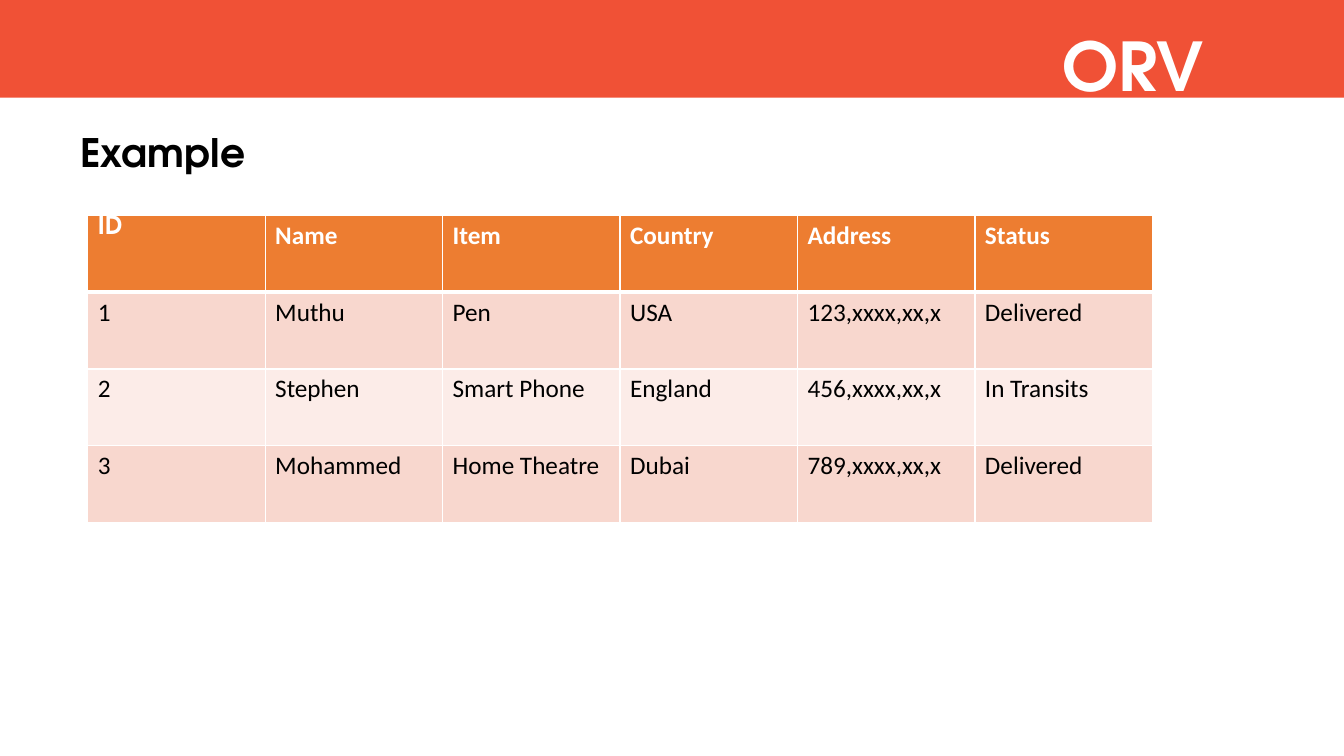
from lxml.etree import SubElement
from pptx import Presentation
from pptx.dml.color import RGBColor
from pptx.enum.shapes import MSO_SHAPE
from pptx.enum.text import MSO_ANCHOR, MSO_AUTO_SIZE, PP_ALIGN
from pptx.oxml.ns import qn
from pptx.util import Inches, Pt

TITLE = "ORV"
SUBTITLE = "Example"
ORDERS = [
    ("ID", "Name", "Item", "Country", "Address", "Status"),
    ("1", "Muthu", "Pen", "USA", "123,xxxx,xx,x", "Delivered"),
    ("2", "Stephen", "Smart Phone", "England", "456,xxxx,xx,x", "In Transits"),
    ("3", "Mohammed", "Home Theatre", "Dubai", "789,xxxx,xx,x", "Delivered"),
]
HEADING_FONT, TABLE_FONT = "TeX Gyre Adventor", "Calibri"
WHITE, BLACK, RED, ORANGE = "FFFFFF", "000000", "F05136", "ED7D31"
BANDS = ("FCECE8", "F8D7CE")
COL_W, ROW_H = 1.76, 0.76


def rgb(value):
    return RGBColor.from_string(value)


def style(p, name, size, color, bold):
    for r in p.runs:
        r.font.name = name
        r.font.size = Pt(size)
        r.font.bold = bold
        r.font.color.rgb = rgb(color)


def place_heading(sp, text, box, size, color):
    """Move a placeholder to box and fill it with one heading."""
    sp.left, sp.top, sp.width, sp.height = map(Inches, box)
    tf = sp.text_frame
    tf.text = text
    tf.word_wrap = True
    tf.auto_size = MSO_AUTO_SIZE.NONE
    tf.vertical_anchor = MSO_ANCHOR.TOP
    p = tf.paragraphs[0]
    p.space_before = Pt(0)
    style(p, HEADING_FONT, size, color, True)
    return p


def set_borders(cell, bottom, top):
    """Draw white cell borders, widths in points."""
    tcPr = cell._tc.get_or_add_tcPr()
    widths = {"a:lnL": 1, "a:lnR": 1, "a:lnT": top, "a:lnB": bottom}
    for tag, width in widths.items():
        ln = SubElement(tcPr, qn(tag), w=str(Pt(width)))
        fill = SubElement(ln, qn("a:solidFill"))
        SubElement(fill, qn("a:srgbClr"), val=WHITE)


prs = Presentation()
prs.slide_width, prs.slide_height = Inches(13.33), Inches(7.5)
s = prs.slides.add_slide(prs.slide_layouts[1])

band = s.shapes.add_shape(MSO_SHAPE.RECTANGLE, 0, 0, prs.slide_width, Inches(0.97))
band.shadow.inherit = False
band.fill.solid()
band.fill.fore_color.rgb = rgb(RED)
band.line.fill.background()
s.shapes._spTree.insert(2, band._element)  # behind the title

p = place_heading(s.shapes.title, TITLE, (3.54, 0.19, 8.5, 0.91), 48, WHITE)
p.alignment = PP_ALIGN.RIGHT

p = place_heading(s.placeholders[1], SUBTITLE, (0.7, 0.76, 12.61, 4.52), 28, BLACK)
p.line_spacing = 2.0
pPr = p._p.get_or_add_pPr()
pPr.set("marL", "0")
pPr.set("indent", "0")
SubElement(pPr, qn("a:buNone"))

rows, cols = len(ORDERS), len(ORDERS[0])
table = s.shapes.add_table(rows, cols, Inches(0.87), Inches(2.14),
                           Inches(cols * COL_W), Inches(rows * ROW_H)).table
for col in table.columns:
    col.width = Inches(COL_W)
for row in table.rows:
    row.height = Inches(ROW_H)

for i, order in enumerate(ORDERS):
    header = i == 0
    for j, text in enumerate(order):
        cell = table.cell(i, j)
        cell.text = text
        set_borders(cell, bottom=3 if header else 1, top=3 if i == 1 else 1)
        cell.fill.solid()
        cell.fill.fore_color.rgb = rgb(ORANGE if header else BANDS[i % 2])
        corner = header and j == 0
        if corner:
            cell.margin_top = 0
        style(cell.text_frame.paragraphs[0], HEADING_FONT if corner else TABLE_FONT,
              18, WHITE if header else BLACK, header)

prs.save("out.pptx")
